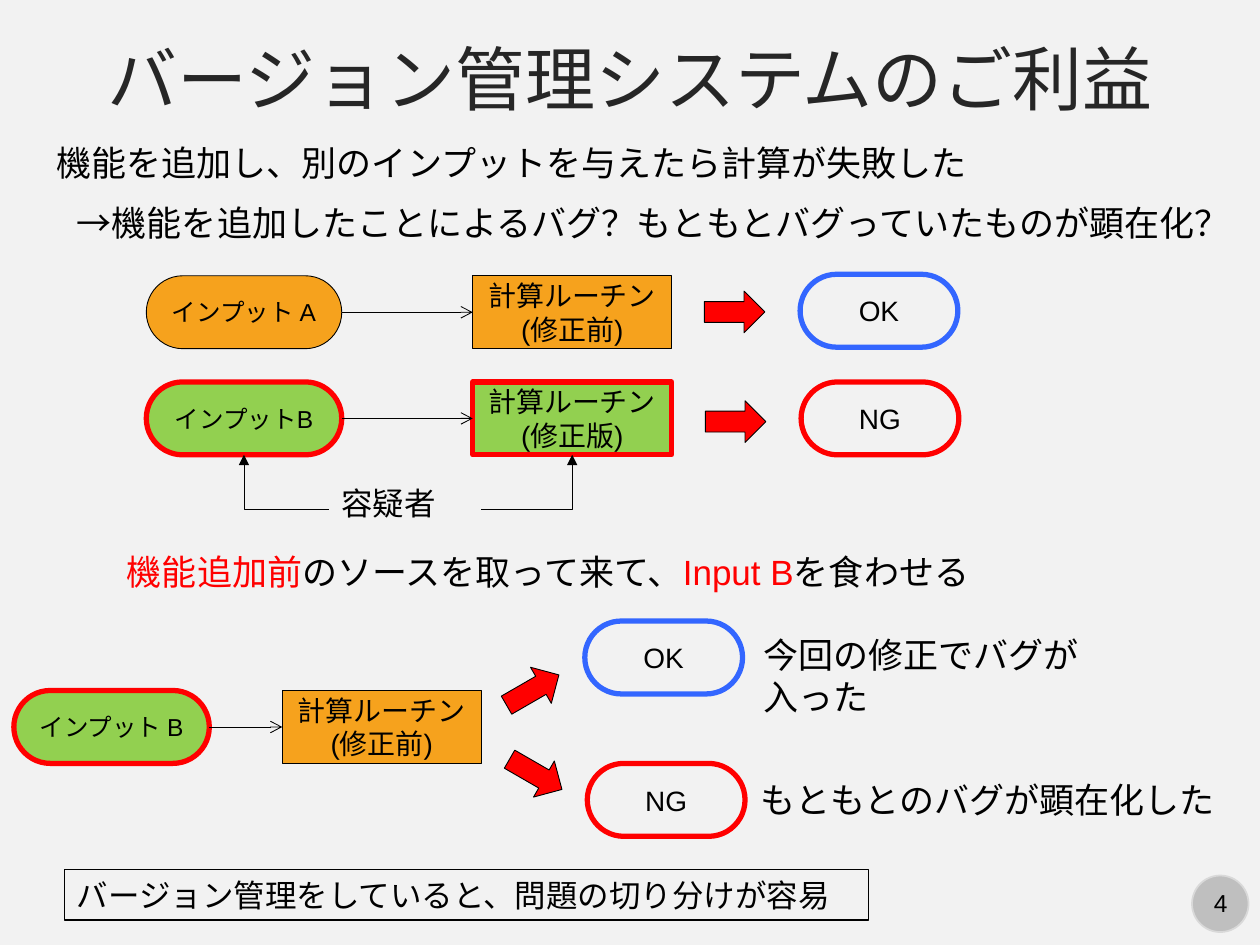
from dataclasses import dataclass

from lxml import etree
from pptx import Presentation
from pptx.dml.color import RGBColor
from pptx.enum.shapes import MSO_CONNECTOR, MSO_SHAPE
from pptx.enum.text import MSO_ANCHOR, PP_ALIGN
from pptx.oxml.ns import qn
from pptx.util import Cm, Pt

RECT = MSO_SHAPE.RECTANGLE
PILL = MSO_SHAPE.ROUNDED_RECTANGLE
OVAL = MSO_SHAPE.OVAL
BLOCK_ARROW = MSO_SHAPE.RIGHT_ARROW
STRAIGHT, ELBOW = MSO_CONNECTOR.STRAIGHT, MSO_CONNECTOR.ELBOW
LEFT, CENTER = PP_ALIGN.LEFT, PP_ALIGN.CENTER
TOP, MIDDLE = MSO_ANCHOR.TOP, MSO_ANCHOR.MIDDLE


@dataclass(frozen=True)
class Theme:
    font: str = "Arial"
    background: str = "F2F2F2"
    title: str = "262626"
    ink: str = "000000"
    red: str = "FF0000"
    blue: str = "3366FF"
    orange: str = "F6A21D"
    green: str = "92D050"
    badge: str = "BFBFBF"
    badge_edge: str = "D9D9D9"
    title_size: int = 40
    body_size: int = 20
    note_size: int = 18
    box_size: int = 16
    small_size: int = 14
    thin: float = 0.5
    thick: float = 3


THEME = Theme()
BOX_HEIGHT = 1.47
INPUT_WIDTH = 3.94
ROUTINE_WIDTH = 4.01
RESULT_WIDTH = 3.18
BEFORE, REVISED = "(修正前)", "(修正版)"


def rgb(color):
    return RGBColor.from_string(color)


def write(frame, paragraphs, size, align=LEFT, anchor=TOP):
    """Fill a frame; each paragraph is a list of (text, colour) runs."""
    frame.word_wrap = True
    frame.vertical_anchor = anchor
    for index, runs in enumerate(paragraphs):
        paragraph = frame.add_paragraph() if index else frame.paragraphs[0]
        paragraph.alignment = align
        for text, color in runs:
            run = paragraph.add_run()
            run.text = text
            run.font.name = THEME.font
            run.font.size = Pt(size)
            run.font.color.rgb = rgb(color)


def add_text(slide, box, runs, size=THEME.body_size, align=LEFT, anchor=TOP):
    label = slide.shapes.add_textbox(*map(Cm, box))
    write(label.text_frame, [runs], size, align, anchor)


def add_box(slide, kind, box, fill=None, edge=THEME.ink, weight=THEME.thin):
    shape = slide.shapes.add_shape(kind, *map(Cm, box))
    shape.shadow.inherit = False
    if fill:
        shape.fill.solid()
        shape.fill.fore_color.rgb = rgb(fill)
    else:
        shape.fill.background()
    shape.line.color.rgb = rgb(edge)
    shape.line.width = Pt(weight)
    if kind == PILL:
        shape.adjustments[0] = 0.5
    return shape


def add_line(slide, kind, start, end, head):
    line = slide.shapes.add_connector(kind, *map(Cm, start + end))
    line.line.color.rgb = rgb(THEME.ink)
    line.line.width = Pt(THEME.thin)
    properties = line._element.spPr
    etree.SubElement(line.line._get_or_add_ln(), qn("a:tailEnd"), type=head)
    etree.SubElement(properties, qn("a:effectLst"))
    if kind == ELBOW:  # a single corner
        properties.find(qn("a:prstGeom")).set("prst", "bentConnector2")


def add_input(slide, left, top, name, fill, edge, weight):
    pill = add_box(slide, PILL, (left, top, INPUT_WIDTH, BOX_HEIGHT), fill, edge, weight)
    write(pill.text_frame, [[(name, THEME.ink)]], THEME.small_size, CENTER, MIDDLE)


def add_routine(slide, left, top, version, fill, edge, weight):
    routine = add_box(slide, RECT, (left, top, ROUTINE_WIDTH, BOX_HEIGHT), fill, edge, weight)
    lines = [[("計算ルーチン", THEME.ink)], [(version, THEME.ink)]]
    write(routine.text_frame, lines, THEME.box_size, CENTER, MIDDLE)


def add_calculation(slide, top, input_left, routine_left, name, version, input_style, routine_style):
    """An input, the routine that takes it, and the arrow between them."""
    add_routine(slide, routine_left, top, version, *routine_style)
    add_input(slide, input_left, top, name, *input_style)
    middle = top + BOX_HEIGHT / 2
    add_line(slide, STRAIGHT, (input_left + INPUT_WIDTH, middle), (routine_left, middle), "arrow")


def add_result(slide, left, top, verdict, arrow_left, arrow_top, angle=0):
    """The block arrow and the OK or NG pill it leads to."""
    edge = THEME.blue if verdict == "OK" else THEME.red
    pill = add_box(slide, PILL, (left, top, RESULT_WIDTH, BOX_HEIGHT), None, edge, THEME.thick)
    write(pill.text_frame, [[(verdict, THEME.ink)]], THEME.box_size, CENTER, MIDDLE)
    arrow = add_box(slide, BLOCK_ARROW, (arrow_left, arrow_top, 1.22, 0.84), THEME.red)
    arrow.rotation = angle


def add_page_number(slide):
    add_box(slide, OVAL, (24.03, 17.65, 1.14, 1.14), THEME.badge, THEME.badge_edge, 1)
    add_text(slide, (24.05, 17.78, 1.12, 0.86), [("4", THEME.ink)], THEME.small_size, CENTER)


def main():
    deck = Presentation()
    deck.slide_width, deck.slide_height = Cm(25.4), Cm(19.05)
    slide = deck.slides.add_slide(deck.slide_layouts[6])
    slide.background.fill.solid()
    slide.background.fill.fore_color.rgb = rgb(THEME.background)
    ink, red = THEME.ink, THEME.red

    add_page_number(slide)
    add_text(slide, (0, 0.53, 25.4, 2.08), [("バージョン管理システムのご利益", THEME.title)],
             THEME.title_size, CENTER, MIDDLE)
    add_text(slide, (0.89, 2.72, 19.76, 1.12),
             [("機能を追加し、別のインプットを与えたら計算が失敗した", ink)])
    add_text(slide, (1.3, 3.94, 23.8, 1.12),
             [("→機能を追加したことによるバグ？もともとバグっていたものが顕在化？", ink)])

    known = (THEME.orange, ink, THEME.thin)
    suspect = (THEME.green, red, THEME.thick)
    input_left, routine_left, suspect_top = 2.95, 9.53, 7.7
    add_calculation(slide, 5.56, input_left, routine_left, "インプット A", BEFORE, known, known)
    add_result(slide, 16.13, 5.53, "OK", 14.2, 5.87)
    add_calculation(slide, suspect_top, input_left, routine_left, "インプットB", REVISED,
                    suspect, suspect)
    add_result(slide, 16.15, suspect_top, "NG", 14.22, 8.08)

    add_text(slide, (6.63, 9.63, 3.07, 1.27), [("容疑者", ink)], THEME.note_size)
    label_middle, suspect_bottom = 10.28, suspect_top + BOX_HEIGHT
    for label_edge, suspect_center in ((6.63, input_left + INPUT_WIDTH / 2),
                                       (9.7, routine_left + ROUTINE_WIDTH / 2)):
        add_line(slide, ELBOW, (label_edge, label_middle), (suspect_center, suspect_bottom),
                 "triangle")

    add_text(slide, (2.31, 10.97, 17.55, 1.12),
             [("機能追加前", red), ("のソースを取って来て、", ink),
              ("Input B", red), ("を食わせる", ink)])
    add_calculation(slide, 13.92, 0.28, 5.69, "インプット B", BEFORE, suspect, known)
    add_result(slide, 11.79, 12.52, "OK", 10.13, 13.49, -30)
    add_result(slide, 11.84, 15.39, "NG", 10.19, 15.19, 30)
    add_text(slide, (15.14, 12.65, 8, 1.12), [("今回の修正でバグが入った", ink)])
    add_text(slide, (15.09, 15.57, 9.78, 1.12), [("もともとのバグが顕在化した", ink)])

    conclusion = add_box(slide, RECT, (1.3, 17.53, 16.21, 1.02), weight=0.75)
    write(conclusion.text_frame, [[("バージョン管理をしていると、問題の切り分けが容易", ink)]],
          THEME.note_size)
    deck.save("out.pptx")


if __name__ == "__main__":
    main()
